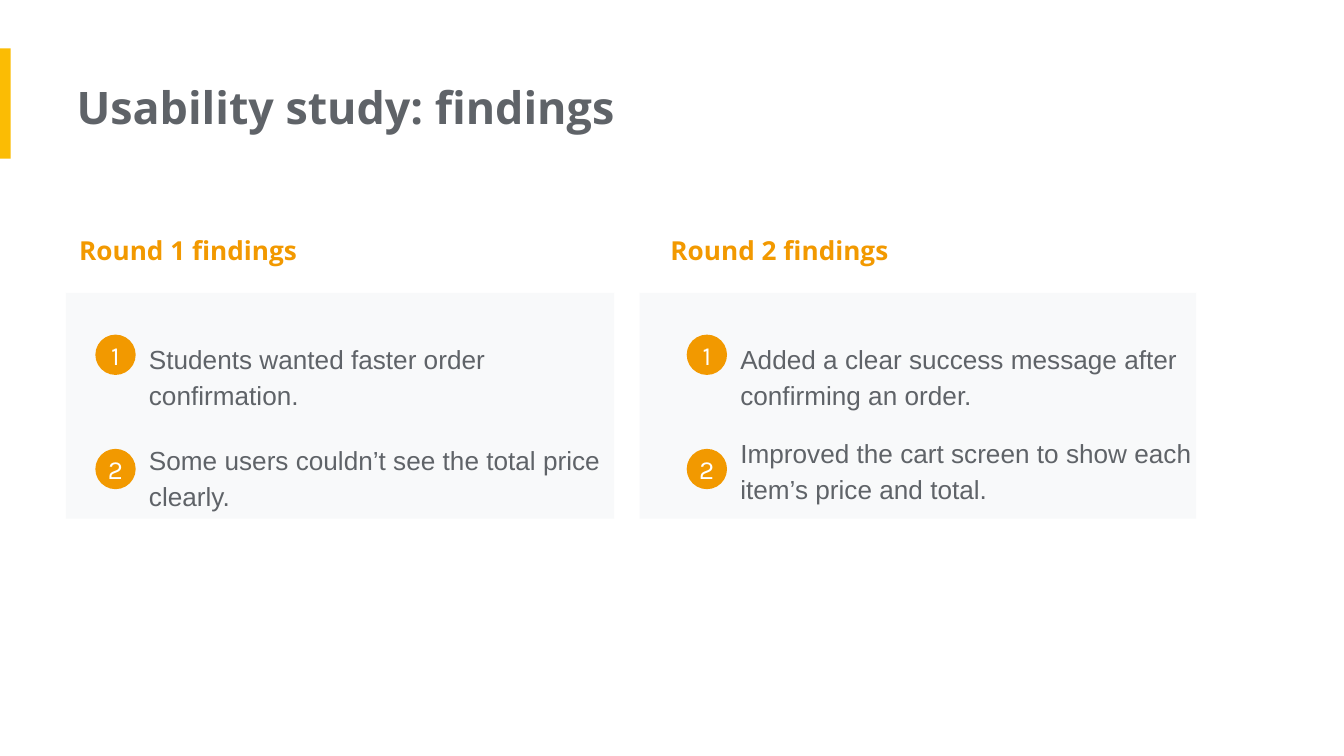
"""Build the usability study findings slide."""
from dataclasses import dataclass

from pptx import Presentation
from pptx.dml.color import RGBColor
from pptx.enum.shapes import MSO_SHAPE as Shape
from pptx.enum.text import MSO_ANCHOR as Anchor, MSO_AUTO_SIZE as AutoSize, PP_ALIGN as Align
from pptx.util import Inches, Pt


@dataclass(frozen=True)
class Theme:
    """Colours, fonts and type sizes of the slide."""
    marker: str = "FBBC04"
    accent: str = "F29900"
    ink: str = "5F6368"
    panel: str = "F8F9FA"
    white: str = "FFFFFF"
    heading_font: str = "Open Sans"
    body_font: str = "Arial"
    number_font: str = "Karla"
    title_size: int = 24
    text_size: int = 14


@dataclass(frozen=True)
class Finding:
    """One numbered finding and the place of its text."""
    text: str
    top: float
    width: float = 3.65
    height: float = 0.74


@dataclass(frozen=True)
class Round:
    """One study round with its column and panel geometry."""
    heading: str
    left: float
    panel_left: float
    panel_width: float
    findings: tuple


THEME = Theme()
BADGE_SIZE = 0.3
BADGE_TOP, BADGE_STEP = 2.49, 0.85
BADGE_INSET = 0.22

ROUNDS = (
    Round("Round 1 findings", 0.49, 0.49, 4.08, (
        Finding("Students wanted faster order confirmation.", 2.42, 3.46, 0.76),
        Finding("Some users couldn’t see the total price clearly.", 3.17),
    )),
    Round("Round 2 findings", 4.89, 4.76, 4.14, (
        Finding("Added a clear success message after confirming an order.", 2.42),
        Finding("Improved the cart screen to show each item’s price and total.", 3.12),
    )),
)


def set_insets(frame, left, others):
    """Set the left inset and the three other insets of a text frame."""
    frame.margin_left = Inches(left)
    frame.margin_top = frame.margin_right = frame.margin_bottom = Inches(others)


def write(frame, text, font, size, color, bold=False):
    """Write one styled paragraph and return it."""
    frame.text = text
    paragraph = frame.paragraphs[0]
    style = paragraph.runs[0].font
    style.name, style.size, style.bold = font, Pt(size), bold
    style.color.rgb = RGBColor.from_string(color)
    return paragraph


def add_filled(slide, kind, box, color):
    """Add a flat shape without an outline."""
    shape = slide.shapes.add_shape(kind, *map(Inches, box))
    shape.shadow.inherit = False
    shape.fill.solid()
    shape.fill.fore_color.rgb = RGBColor.from_string(color)
    shape.line.fill.background()
    return shape


def add_label(slide, box, text, font, size, color, bold=False, inset=0.1, spacing=1.15):
    """Add a wrapped text box that fits its text."""
    frame = slide.shapes.add_textbox(*map(Inches, box)).text_frame
    frame.word_wrap = True
    frame.auto_size = AutoSize.SHAPE_TO_FIT_TEXT
    set_insets(frame, inset, 0.1)
    write(frame, text, font, size, color, bold).line_spacing = spacing


def add_badge(slide, left, top, number):
    """Add a round number badge."""
    badge = add_filled(slide, Shape.OVAL, (left, top, BADGE_SIZE, BADGE_SIZE), THEME.accent)
    frame = badge.text_frame
    set_insets(frame, 0, 0)
    frame.vertical_anchor = Anchor.MIDDLE
    digit = write(frame, str(number), THEME.number_font, THEME.text_size, THEME.white)
    digit.alignment = Align.CENTER


def add_round(slide, study):
    """Add a heading, a panel and the numbered findings of one round."""
    add_label(slide, (study.left, 1.61, 3.65, 0.44), study.heading,
              THEME.heading_font, THEME.text_size, THEME.accent, bold=True)
    add_filled(slide, Shape.RECTANGLE, (study.panel_left, 2.18, study.panel_width, 1.68), THEME.panel)
    badge_left = study.left + BADGE_INSET
    for index, finding in enumerate(study.findings):
        add_label(slide, (badge_left + BADGE_SIZE, finding.top, finding.width, finding.height),
                  finding.text, THEME.body_font, THEME.text_size, THEME.ink)
        add_badge(slide, badge_left, BADGE_TOP + index * BADGE_STEP, index + 1)


def main():
    """Build and save the slide."""
    deck = Presentation()
    deck.slide_width = Inches(10)
    deck.slide_height = deck.slide_width * 9 // 16
    slide = deck.slides.add_slide(deck.slide_layouts[6])
    add_filled(slide, Shape.RECTANGLE, (0, 0.36, 0.08, 0.82), THEME.marker)
    add_label(slide, (0.57, 0.49, 6.73, 0.61), "Usability study: findings",
              THEME.heading_font, THEME.title_size, THEME.ink, bold=True, inset=0, spacing=1.0)
    for study in ROUNDS:
        add_round(slide, study)
    deck.save("out.pptx")


if __name__ == "__main__":
    main()
